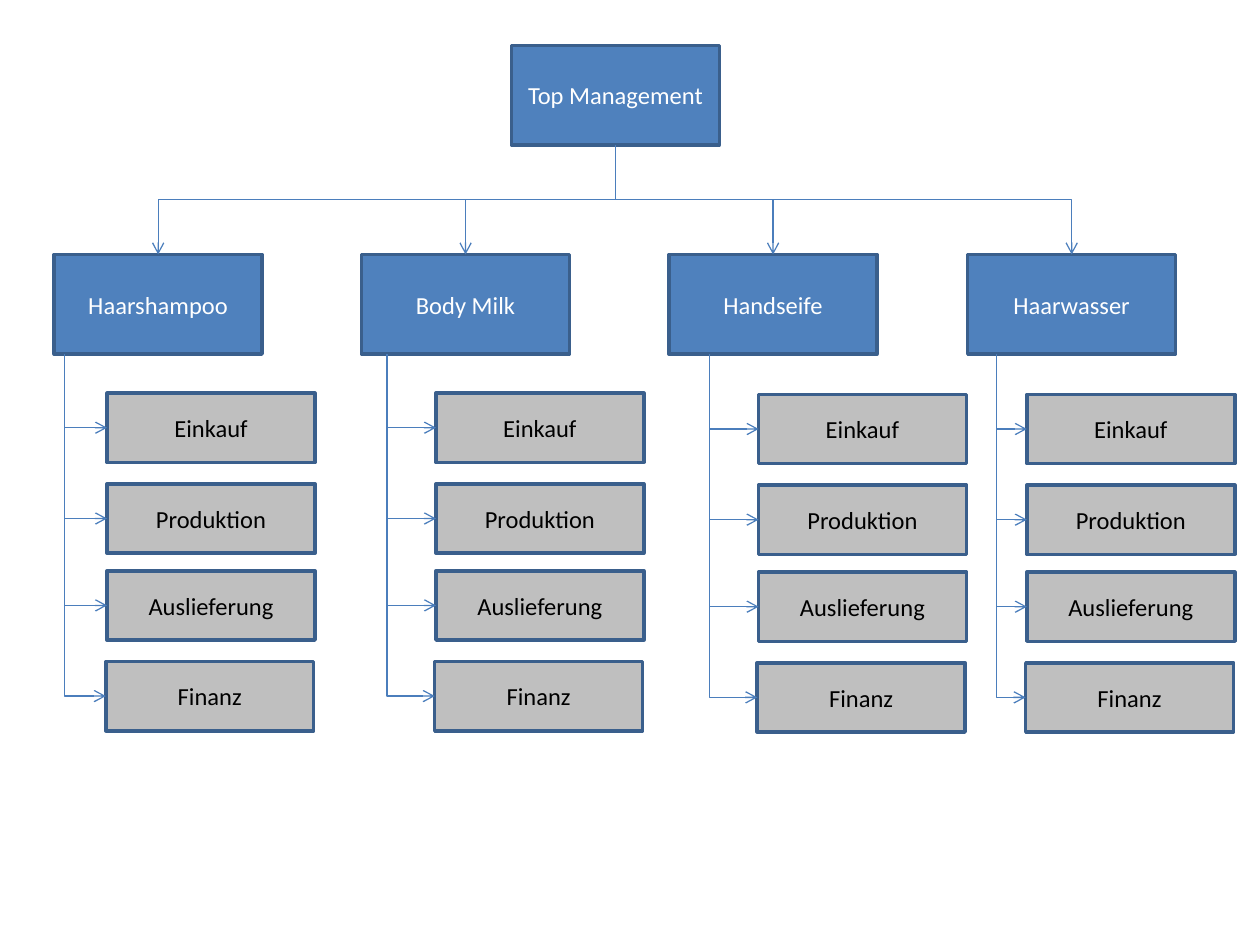
from pptx import Presentation
from pptx.dml.color import RGBColor
from pptx.enum.shapes import MSO_CONNECTOR, MSO_SHAPE
from pptx.enum.text import MSO_ANCHOR, PP_ALIGN
from pptx.oxml.ns import qn
from pptx.util import Inches, Pt
from lxml import etree

RECT = MSO_SHAPE.RECTANGLE
ELBOW = MSO_CONNECTOR.ELBOW
MIDDLE = MSO_ANCHOR.MIDDLE
CENTER = PP_ALIGN.CENTER

BLUE = RGBColor(0x4F, 0x81, 0xBD)
BORDER = RGBColor(0x3A, 0x5F, 0x8C)
ARROW = RGBColor(0x4B, 0x7E, 0xBC)
GREY = RGBColor(0xBF, 0xBF, 0xBF)
WHITE = RGBColor(0xFF, 0xFF, 0xFF)
BLACK = RGBColor(0, 0, 0)

BOX_W, UNIT_H, DEPT_H = 1.65, 0.79, 0.55
TOP_X, TOP_Y, DIVISION_Y = 4.06, 0.36, 2.02
BOTTOM_SITE, TOP_SITE = 2, 0

# Name, left edge, trunk x, department left edge, department vertical shift
DIVISIONS = [
    ("Haarshampoo", 0.43, 0.51, 0.85, 0),
    ("Body Milk", 2.87, 3.07, 3.46, 0),
    ("Handseife", 5.31, 5.63, 6.02, 0.01),
    ("Haarwasser", 7.68, 7.91, 8.15, 0.01),
]
# Name, top edge, horizontal shift
DEPARTMENTS = [
    ("Einkauf", 3.12, 0),
    ("Produktion", 3.84, 0),
    ("Auslieferung", 4.53, 0),
    ("Finanz", 5.25, -0.01),
]

UNIT = {"fill": BLUE, "font": {"name": "Calibri", "size": Pt(14)}, "color": WHITE}
DEPT = {**UNIT, "fill": GREY, "color": BLACK}


def add_box(slide, text, x, y, h, style):
    s = slide.shapes.add_shape(RECT, Inches(x), Inches(y), Inches(BOX_W), Inches(h))
    s.shadow.inherit = False
    s.fill.solid()
    s.fill.fore_color.rgb = style["fill"]
    s.line.color.rgb = BORDER
    s.line.width = Pt(2)
    tf = s.text_frame
    tf.word_wrap = True
    tf.vertical_anchor = MIDDLE
    p = tf.paragraphs[0]
    p.alignment = CENTER
    r = p.add_run()
    r.text = text
    for key, value in style["font"].items():
        setattr(r.font, key, value)
    r.font.color.rgb = style["color"]
    return s


def add_elbow(slide, x1, y1, x2, y2, preset, ends=None):
    """Draw an elbow arrow that leaves its start downwards."""
    c = slide.shapes.add_connector(ELBOW, Inches(x1), Inches(y1), Inches(x2), Inches(y2))
    if ends:
        c.begin_connect(ends[0], BOTTOM_SITE)
        c.end_connect(ends[1], TOP_SITE)

    # A quarter turn swaps width and height about the centre
    w, h = y2 - y1, abs(x2 - x1)
    frame = {"left": (x1 + x2 - w) / 2, "top": (y1 + y2 - h) / 2, "width": w, "height": h}
    for key, value in frame.items():
        setattr(c, key, Inches(value))
    rightward = x2 > x1
    sp_pr = c._element.spPr
    xfrm = sp_pr.find(qn("a:xfrm"))
    xfrm.set("rot", str((270 if rightward else 90) * 60000))
    xfrm.set("flipH", "1" if rightward else "0")
    sp_pr.find(qn("a:prstGeom")).set("prst", preset)

    # Line, arrowhead and no shadow
    c.line.color.rgb = ARROW
    c.line.width = Pt(0.75)
    etree.SubElement(sp_pr.find(qn("a:ln")), qn("a:tailEnd"), type="arrow")
    etree.SubElement(sp_pr, qn("a:effectLst"))


def add_divisions(slide, top):
    for name, x, *_ in DIVISIONS:
        box = add_box(slide, name, x, DIVISION_Y, UNIT_H, UNIT)
        add_elbow(slide, TOP_X + BOX_W / 2, TOP_Y + UNIT_H, x + BOX_W / 2, DIVISION_Y,
                  "bentConnector3", (top, box))


def add_departments(slide):
    for _, _, trunk_x, dept_x, dy in DIVISIONS:
        for name, dept_y, dx in DEPARTMENTS:
            x, y = dept_x + dx, dept_y + dy
            add_box(slide, name, x, y, DEPT_H, DEPT)
            add_elbow(slide, trunk_x, DIVISION_Y + UNIT_H, x, y + DEPT_H / 2,
                      "bentConnector2")


def main():
    prs = Presentation()
    prs.slide_width, prs.slide_height = Inches(10), Inches(7.5)
    slide = prs.slides.add_slide(prs.slide_layouts[6])
    top = add_box(slide, "Top Management", TOP_X, TOP_Y, UNIT_H, UNIT)
    add_divisions(slide, top)
    add_departments(slide)
    prs.save("out.pptx")


main()
